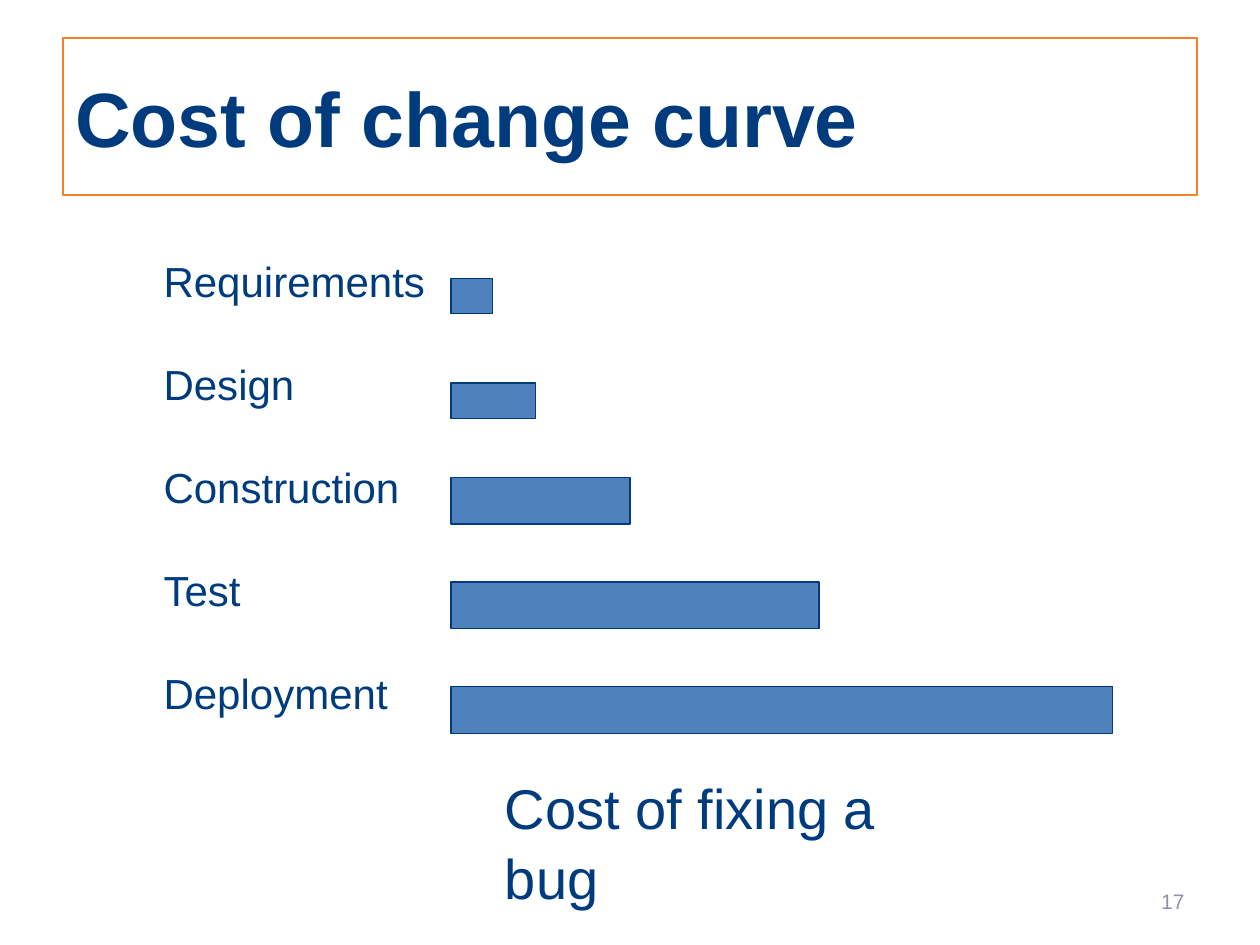
from pptx import Presentation
from pptx.dml.color import RGBColor
from pptx.enum import shapes, text
from pptx.util import Inches, Pt

COLORS = {"navy": "003C7D", "orange": "F47F24", "bar": "4F81BD", "grey": "8C92AA"}


def color(name):
    return RGBColor.from_string(COLORS[name])


def write(sp, lines, size, ink="navy", bold=False, wrap=True, gap=0, spacing=1.0,
          align=text.PP_ALIGN.LEFT, anchor=text.MSO_ANCHOR.TOP, top=0.05):
    tf = sp.text_frame
    tf.word_wrap = wrap
    tf.vertical_anchor = anchor
    tf.margin_top = Inches(top)
    for i, line in enumerate(lines):
        p = tf.add_paragraph() if i else tf.paragraphs[0]
        p.alignment = align
        p.line_spacing = spacing
        p.space_before = Pt(gap if i else 0)
        r = p.add_run()
        r.text = line
        r.font.name = "Arial"
        r.font.size = Pt(size)
        r.font.bold = bold
        r.font.color.rgb = color(ink)


prs = Presentation()
prs.slide_width, prs.slide_height = Inches(10), Inches(7.5)
s = prs.slides.add_slide(prs.slide_layouts[6])

# Title in an outlined frame
sp = s.shapes.add_shape(shapes.MSO_SHAPE.RECTANGLE,
                        Inches(0.5), Inches(0.3), Inches(9), Inches(1.25))
sp.shadow.inherit = False
sp.fill.background()
sp.line.color.rgb = color("orange")
sp.line.width = Pt(1)
write(sp, ["Cost of change curve"], 44, bold=True, anchor=text.MSO_ANCHOR.MIDDLE)

# Slide number
sp = s.shapes.add_textbox(Inches(7.17), Inches(6.93), Inches(2.33), Inches(0.44))
write(sp, ["17"], 12, ink="grey", align=text.PP_ALIGN.RIGHT,
      anchor=text.MSO_ANCHOR.MIDDLE)

# Phases, with the top, width and height of each cost bar
phases = [
    ("Requirements", 2.21, 0.33, 0.28),
    ("Design", 3.04, 0.67, 0.28),
    ("Construction", 3.79, 1.42, 0.37),
    ("Test", 4.62, 2.92, 0.37),
    ("Deployment", 5.45, 5.25, 0.37),
]
sp = s.shapes.add_textbox(Inches(1.2), Inches(1.95), Inches(2.3), Inches(4.11))
write(sp, [phase[0] for phase in phases], 24, wrap=False, gap=30, top=0.08)

for name, top, width, height in phases:
    sp = s.shapes.add_shape(shapes.MSO_SHAPE.RECTANGLE, Inches(3.58), Inches(top),
                            Inches(width), Inches(height))
    sp.shadow.inherit = False
    sp.fill.solid()
    sp.fill.fore_color.rgb = color("bar")
    sp.line.color.rgb = color("navy")
    sp.line.width = Pt(0.75)

# Axis caption
sp = s.shapes.add_textbox(Inches(3.91), Inches(6.05), Inches(4), Inches(0.7))
write(sp, ["Cost of fixing a bug"], 32, spacing=1.04, top=0.07)

prs.save("out.pptx")
